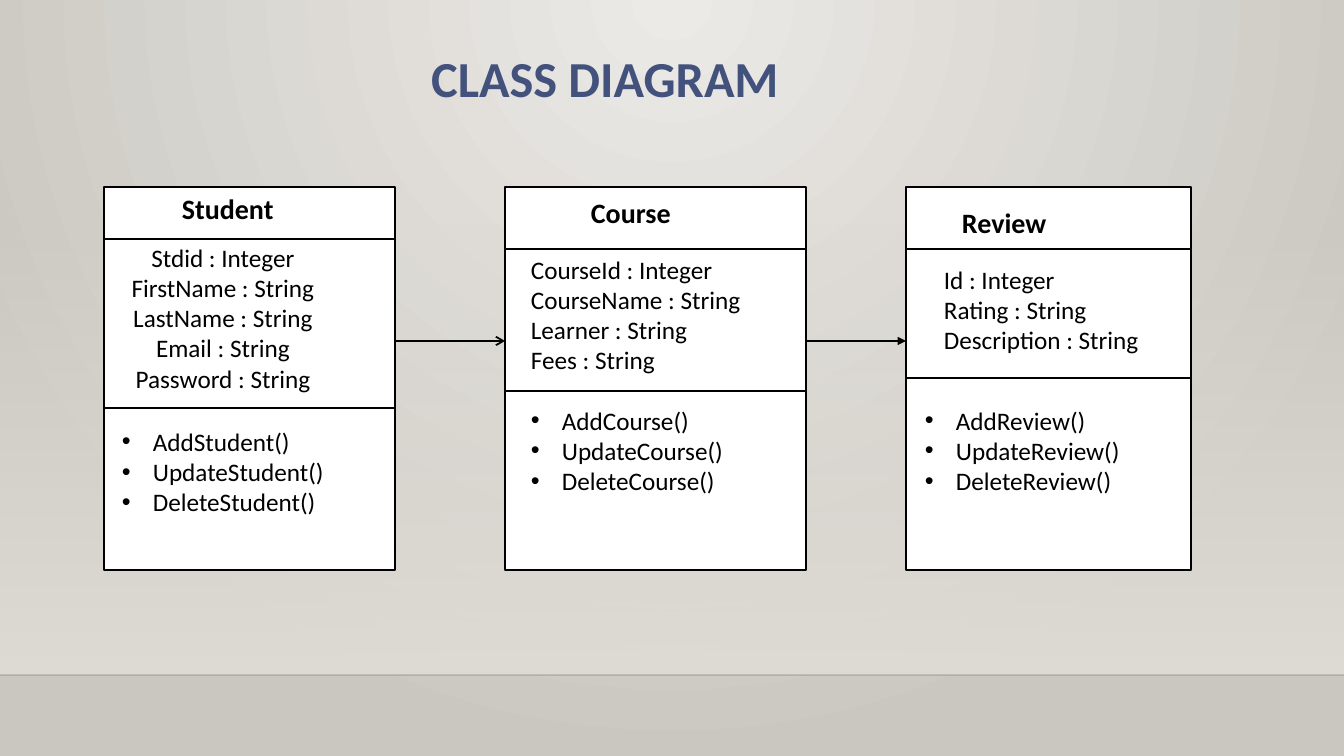
from dataclasses import dataclass

from pptx import Presentation
from pptx.dml.color import RGBColor
from pptx.enum.shapes import MSO_CONNECTOR as Connector, MSO_SHAPE as Shape
from pptx.enum.text import MSO_ANCHOR as Anchor, MSO_AUTO_SIZE as AutoSize, PP_ALIGN as Align
from pptx.oxml.ns import qn
from pptx.oxml.xmlchemy import OxmlElement
from pptx.util import Emu, Pt

EMU_PER_PX = 914400 / 100.8
WIDTH, HEIGHT = 1344, 756
FLOOR_TOP = 675
CLASS_TOP, CLASS_HEIGHT = 187, 383
ARROW_Y = 341
LINE_HEIGHT, INSET = 30, 10
BLACK, WHITE, NAVY = "000000", "FFFFFF", "42527C"


@dataclass
class ClassBox:
    """A class; offsets and divider heights are px from the box's top left."""
    name: str
    attributes: list
    methods: list
    left: int
    width: int
    dividers: tuple
    name_at: tuple
    attributes_at: tuple
    methods_at: tuple
    outline: Shape = Shape.RECTANGLE
    align: Align = Align.LEFT
    text_width: int = 270


CLASSES = [
    ClassBox("Student",
             ["Stdid : Integer", "FirstName : String", "LastName : String",
              "Email : String", "Password : String"],
             ["AddStudent()", "UpdateStudent()", "DeleteStudent()"],
             104, 291, (52, 221), (68, 0), (-16, 50), (8, 234),
             Shape.FLOWCHART_PROCESS, Align.CENTER),
    ClassBox("Course",
             ["CourseId : Integer", "CourseName : String", "Learner : String", "Fees : String"],
             ["AddCourse()", "UpdateCourse()", "DeleteCourse()"],
             505, 301, (62, 204), (76, 4), (16, 62), (16, 213)),
    ClassBox("Review",
             ["Id : Integer", "Rating : String", "Description : String"],
             ["AddReview()", "UpdateReview()", "DeleteReview()"],
             906, 285, (62, 191), (46, 14), (28, 72), (9, 213)),
]


def px(length):
    return Emu(round(length * EMU_PER_PX))


def color(value):
    return RGBColor.from_string(value)


def add_child(parent, tag, **attributes):
    child = OxmlElement(tag)
    for name, value in attributes.items():
        child.set(name, str(value))
    parent.append(child)
    return child


def set_stops(fill, *values):
    fill.gradient()
    for stop, value in zip(fill.gradient_stops, values):
        stop.color.rgb = color(value)


def add_line(page, x1, y1, x2, y2, width=1.25, value=BLACK, arrow=None, alpha=None):
    line = page.shapes.add_connector(Connector.STRAIGHT, px(x1), px(y1), px(x2), px(y2))
    line.line.color.rgb = color(value)
    line.line.width = Pt(width)
    outline = line.line._get_or_add_ln()
    if alpha:
        add_child(outline.find(".//" + qn("a:srgbClr")), "a:alpha", val=alpha * 1000)
    if arrow:
        add_child(outline, "a:tailEnd", type=arrow)
    add_child(line.element.spPr, "a:effectLst")


def write(frame, lines, size, value=BLACK, bold=False, align=Align.LEFT, bullets=False):
    frame.text = "\n".join(lines)
    frame.word_wrap = True
    for para in frame.paragraphs:
        para.alignment = align
        if bullets:
            properties = para._p.get_or_add_pPr()
            properties.set("marL", str(px(31)))
            properties.set("indent", str(-px(31)))
            add_child(properties, "a:buFont", typeface="Arial")
            add_child(properties, "a:buChar", char="•")
        for span in para.runs:
            span.font.name = "Calibri"
            span.font.size = Pt(size)
            span.font.bold = bold
            span.font.color.rgb = color(value)


def add_text(page, left, top, width, lines, size, **style):
    height = len(lines) * LINE_HEIGHT + INSET
    box = page.shapes.add_textbox(px(left), px(top), px(width), px(height))
    write(box.text_frame, lines, size, **style)
    box.text_frame.auto_size = AutoSize.SHAPE_TO_FIT_TEXT


def draw_backdrop(page):
    # Radial glow from the top centre
    set_stops(page.background.fill, "ECEAE7", "CAC7C1")
    gradient = next(page.element.iter(qn("a:gradFill")))
    gradient.remove(gradient.find(qn("a:lin")))
    path = add_child(gradient, "a:path", path="circle")
    add_child(path, "a:fillToRect", l=43000, t=0, r=43000, b=100000)

    # Wall that fades in down to the floor line
    wall_top = 223
    wall = page.shapes.add_shape(Shape.RECTANGLE, 0, px(wall_top),
                                 px(WIDTH), px(FLOOR_TOP - wall_top))
    wall.shadow.inherit = False
    wall.line.fill.background()
    set_stops(wall.fill, "DFDBD5", "DFDBD5")
    wall.fill.gradient_angle = 270
    add_child(next(wall.element.iter(qn("a:srgbClr"))), "a:alpha", val=0)
    add_line(page, 0, FLOOR_TOP, WIDTH, FLOOR_TOP, 1, "000001", alpha=20)


def draw_title(page, left, top, width, height):
    title = page.shapes.title
    title.left, title.top, title.width, title.height = map(px, (left, top, width, height))
    write(title.text_frame, ["CLASS DIAGRAM"], 36, NAVY, bold=True)
    title.text_frame.vertical_anchor = Anchor.TOP
    title.text_frame.auto_size = AutoSize.NONE


def draw_class(page, item):
    left, top = item.left, CLASS_TOP
    box = page.shapes.add_shape(item.outline, px(left), px(top),
                                px(item.width), px(CLASS_HEIGHT))
    box.shadow.inherit = False
    box.fill.solid()
    box.fill.fore_color.rgb = color(WHITE)
    box.line.color.rgb = color(BLACK)
    box.line.width = Pt(1.25)
    for offset in item.dividers:
        add_line(page, left, top + offset, left + item.width, top + offset)

    # Name, attributes and methods compartments
    for (dx, dy), lines, size, style in (
        (item.name_at, [item.name], 20, {"bold": True}),
        (item.attributes_at, item.attributes, 18, {"align": item.align}),
        (item.methods_at, item.methods, 18, {"bullets": True}),
    ):
        add_text(page, left + dx, top + dy, item.text_width, lines, size, **style)


def draw_associations(page):
    for source, target, arrow in zip(CLASSES, CLASSES[1:], ("arrow", "triangle")):
        add_line(page, source.left + source.width, ARROW_Y, target.left, ARROW_Y, arrow=arrow)


def main():
    deck = Presentation()
    deck.slide_width, deck.slide_height = px(WIDTH), px(HEIGHT)
    page = deck.slides.add_slide(deck.slide_layouts.get_by_name("Title Only"))
    draw_backdrop(page)
    draw_title(page, 421, 42, 627, 72)
    for item in CLASSES:
        draw_class(page, item)
    draw_associations(page)
    deck.save("out.pptx")


if __name__ == "__main__":
    main()
